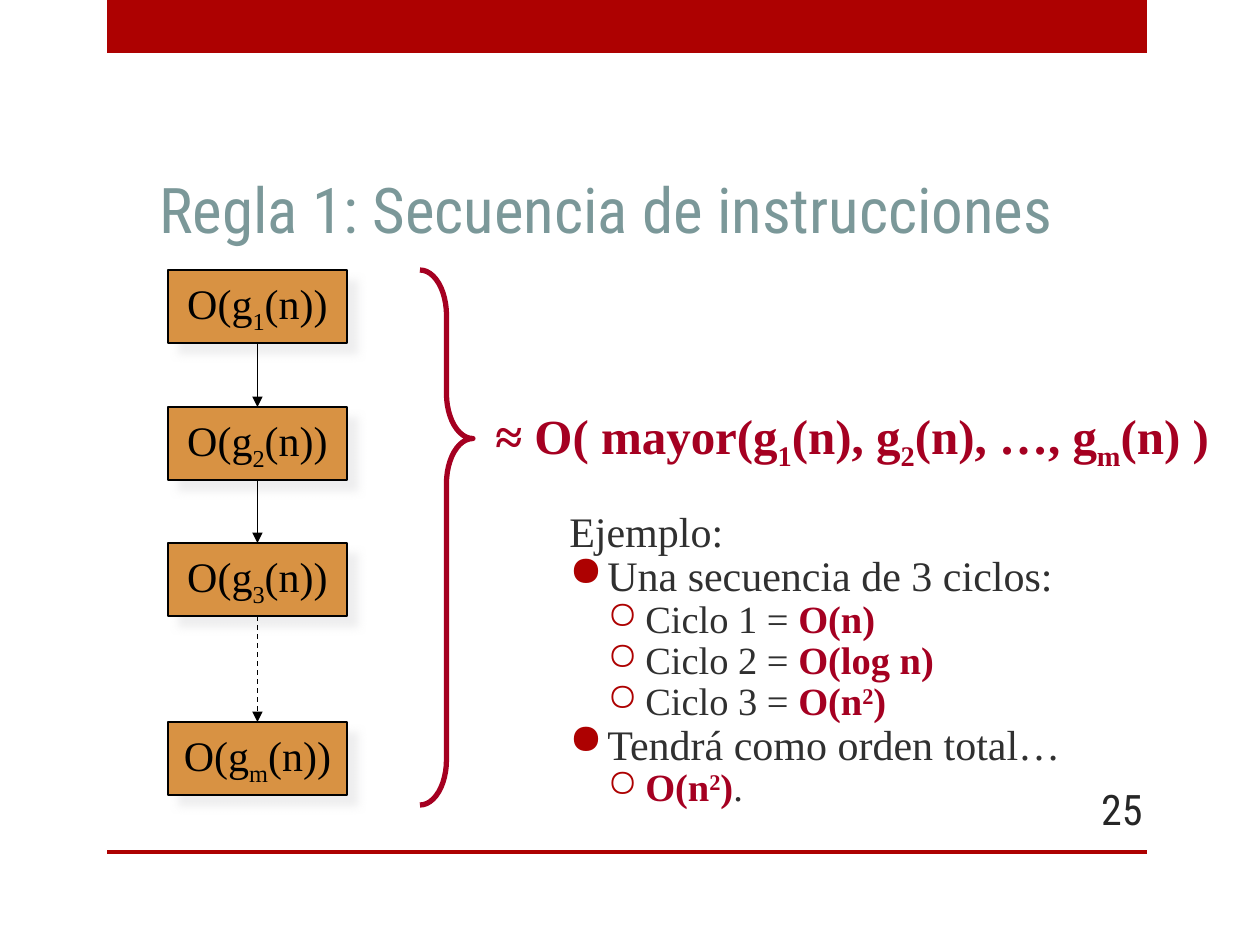
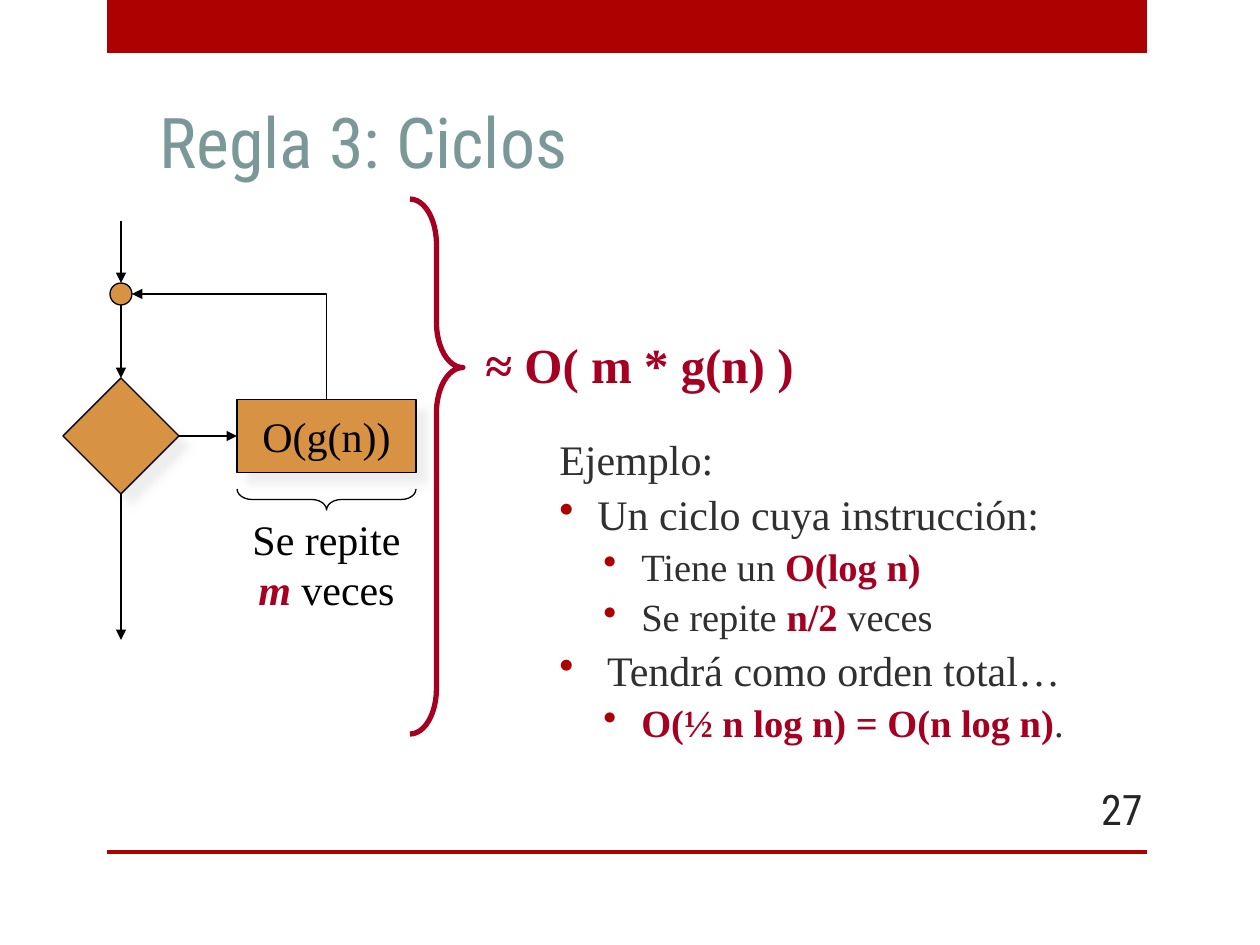
from lxml import etree
from pptx import Presentation
from pptx import util as u
from pptx.dml.color import RGBColor
from pptx.enum import dml, shapes, text
from pptx.oxml import ns

PX = u.Inches(1) / 126
COLORS = {
    "band": "AD0101", "title": "7B9899", "body": "303030", "key": "A50021",
    "number": "262626", "node": "D89243", "ink": "000000", "shadow": "DEDEE0",
}
SERIF, SANS = "Times New Roman", "Roboto Condensed"
NODE_WIDTH, NODE_HEIGHT = 179, 73
BRACE_WIDTH, BRACE_HEIGHT = 53, 535


def px(*lengths):
    return [u.Emu(round(length * PX)) for length in lengths]


def rgb(name):
    return RGBColor.from_string(COLORS[name])


def add_xml(parent, tag, **attributes):
    return etree.SubElement(parent, ns.qn(tag), attributes)


# Text: a run is a string or (string, marks); marks are
# k = key term, i = italic, ^ = superscript, _ = subscript
def write_runs(paragraph, runs, size, color, font=SERIF):
    for item in runs:
        content, marks = (item, "") if isinstance(item, str) else item
        run = paragraph.add_run()
        run.text = content
        run.font.name, run.font.size = font, u.Pt(size)
        run.font.color.rgb = rgb("key" if "k" in marks else color)
        run.font.bold, run.font.italic = "k" in marks, "i" in marks
        for mark, baseline in (("^", "30000"), ("_", "-25000")):
            if mark in marks:
                run.font._element.set("baseline", baseline)


def add_text(slide, box, runs, size, color, font=SERIF, wrap=True,
             anchor=text.MSO_ANCHOR.TOP, align=text.PP_ALIGN.LEFT):
    frame = slide.shapes.add_textbox(*px(*box)).text_frame
    frame.word_wrap, frame.vertical_anchor = wrap, anchor
    frame.paragraphs[0].alignment = align
    write_runs(frame.paragraphs[0], runs, size, color, font)


# Flowchart parts
def add_node(slide, kind, box, runs=(), shadow=True):
    shape = slide.shapes.add_shape(kind, *px(*box))
    shape.shadow.inherit = False
    shape.fill.solid()
    shape.fill.fore_color.rgb = rgb("node")
    shape.line.color.rgb, shape.line.width = rgb("ink"), u.Pt(0.75)
    if shadow:
        effects = shape._element.spPr.find(ns.qn("a:effectLst"))
        outer = add_xml(effects, "a:outerShdw", blurRad=str(u.Pt(5)),
                        dist=str(u.Pt(8.5)), dir="2700000", algn="ctr", rotWithShape="0")
        tint = add_xml(outer, "a:srgbClr", val=COLORS["shadow"])
        add_xml(tint, "a:alpha", val="50000")
    if runs:
        frame = shape.text_frame
        frame.word_wrap, frame.vertical_anchor = False, text.MSO_ANCHOR.MIDDLE
        frame.paragraphs[0].alignment = text.PP_ALIGN.CENTER
        write_runs(frame.paragraphs[0], runs, 24, "ink")


def add_arrow(slide, start, end, dashed=False, kind=shapes.MSO_CONNECTOR.STRAIGHT):
    arrow = slide.shapes.add_connector(kind, *px(*start, *end))
    arrow.line.color.rgb, arrow.line.width = rgb("ink"), u.Pt(0.75)
    if dashed:
        arrow.line.dash_style = dml.MSO_LINE.DASH
    properties = arrow._element.spPr
    add_xml(properties.find(ns.qn("a:ln")), "a:tailEnd", type="triangle")
    add_xml(properties, "a:effectLst")
    return arrow


def add_return_arrow(slide, start, end):
    """Go up from start, then left to end: a one-bend connector turned 90 degrees."""
    middle_x, middle_y = (start[0] + end[0]) / 2, (start[1] + end[1]) / 2
    half_run, half_rise = (start[0] - end[0]) / 2, (start[1] - end[1]) / 2
    arrow = add_arrow(slide, (middle_x + half_rise, middle_y - half_run),
                      (middle_x - half_rise, middle_y + half_run),
                      kind=shapes.MSO_CONNECTOR.ELBOW)
    properties = arrow._element.spPr
    properties.find(ns.qn("a:xfrm")).set("rot", "5400000")
    properties.find(ns.qn("a:prstGeom")).set("prst", "bentConnector2")


def add_brace(slide, box, adjustments, color, width, rotation=0):
    brace = slide.shapes.add_shape(shapes.MSO_SHAPE.RIGHT_BRACE, *px(*box))
    brace.shadow.inherit = False
    brace.fill.background()
    brace.line.color.rgb, brace.line.width = rgb(color), u.Pt(width)
    brace.rotation = rotation
    for index, value in enumerate(adjustments):
        brace.adjustments[index] = value


# Shared frame: bands, title and slide number
def add_frame(presentation, title, title_box, title_size, number):
    slide = presentation.slides.add_slide(presentation.slide_layouts[6])
    for top, height in ((0, 53), (850, 4)):
        band = slide.shapes.add_shape(shapes.MSO_SHAPE.RECTANGLE, *px(107, top, 1040, height))
        band.shadow.inherit = False
        band.fill.solid()
        band.fill.fore_color.rgb = rgb("band")
        band.line.fill.background()
    add_text(slide, title_box, [title], title_size, "title", SANS,
             anchor=text.MSO_ANCHOR.BOTTOM)
    add_text(slide, (1050, 784, 105, 50), [str(number)], 24, "number", SANS,
             anchor=text.MSO_ANCHOR.MIDDLE, align=text.PP_ALIGN.RIGHT)
    return slide


# Example list: each item is (level, runs)
def add_example(slide, box, items, bullets, margins, spacing):
    frame = slide.shapes.add_textbox(*px(*box)).text_frame
    frame.word_wrap, frame.vertical_anchor = True, text.MSO_ANCHOR.MIDDLE
    write_runs(frame.paragraphs[0], ["Ejemplo:"], 24, "body")
    frame.paragraphs[0].line_spacing = spacing
    for level, runs in items:
        paragraph = frame.add_paragraph()
        paragraph.level = level
        margin, hanging = px(margins[level], -38)
        properties = paragraph._p.get_or_add_pPr()
        properties.set("marL", str(margin))
        properties.set("indent", str(hanging))
        add_xml(add_xml(properties, "a:buClr"), "a:srgbClr", val=COLORS["band"])
        add_xml(properties, "a:buChar", char=bullets[level])
        paragraph.line_spacing = spacing
        paragraph.space_before = u.Pt((5.5, 5)[level])
        write_runs(paragraph, runs, (24, 22)[level], "body")


# Brace, resulting order and example, placed from the brace's corner
def add_conclusion(slide, left, top, formula, formula_width, items, **list_style):
    add_brace(slide, (left, top, BRACE_WIDTH, BRACE_HEIGHT), (0.85, 0.315), "key", 3)
    add_text(slide, (left + 63, top + 129, formula_width, 72), formula, 28, "key", wrap=False)
    add_example(slide, (left + 137, top + 231, 620, 325), items, **list_style)


def add_sequence(slide, left, top):
    steps = {"1": 0, "2": 137, "3": 273, "m": 452}
    center = left + NODE_WIDTH / 2
    previous_bottom = None
    for name, offset in steps.items():
        step_top = top + offset
        add_node(slide, shapes.MSO_SHAPE.RECTANGLE,
                 (left, step_top, NODE_WIDTH, NODE_HEIGHT), ["O(g", (name, "_"), "(n))"])
        if previous_bottom:
            add_arrow(slide, (center, previous_bottom), (center, step_top), dashed=name == "m")
        previous_bottom = step_top + NODE_HEIGHT


def add_loop(slide, left, top):
    diamond, circle = 116, 22
    axis = left + diamond / 2
    join_top, test_top = top + 62, top + 157
    join_middle, test_middle = join_top + circle / 2, test_top + diamond / 2
    body_left, body_top = left + 174, test_middle - NODE_HEIGHT / 2
    body_center = body_left + NODE_WIDTH / 2

    # Nodes
    add_node(slide, shapes.MSO_SHAPE.RECTANGLE,
             (body_left, body_top, NODE_WIDTH, NODE_HEIGHT), ["O(g(n))"])
    add_node(slide, shapes.MSO_SHAPE.DIAMOND, (left, test_top, diamond, diamond))
    add_node(slide, shapes.MSO_SHAPE.OVAL,
             (axis - circle / 2, join_top, circle, circle), shadow=False)

    # Flow
    for start, end in (((axis, top), (axis, join_top)),
                       ((axis, join_top + circle), (axis, test_top)),
                       ((axis, test_top + diamond), (axis, top + 419)),
                       ((left + diamond, test_middle), (body_left, test_middle))):
        add_arrow(slide, start, end)
    add_return_arrow(slide, (body_center, body_top), (axis + circle / 2, join_middle))

    # Repetition note
    add_brace(slide, (body_center - 10.5, top + 189, 21, NODE_WIDTH),
              (0.71, 0.5), "ink", 0.75, rotation=90)
    add_text(slide, (body_center - 94.5, top + 286, 189, 113),
             ["Se repite ", ("m", "ki"), " veces"], 24, "ink", align=text.PP_ALIGN.CENTER)


def build_sequence_slide(presentation):
    slide = add_frame(presentation, "Regla 1: Secuencia de instrucciones",
                      (147, 95, 968, 157), 36, 25)
    add_sequence(slide, 168, 270)
    formula = [("≈ O( mayor(g", "k"), ("1", "k_"), ("(n), g", "k"), ("2", "k_"),
               ("(n), …, g", "k"), ("m", "k_"), ("(n) )", "k")]
    square = [("O(n", "k"), ("2", "k^"), (")", "k")]
    items = [(0, ["Una secuencia de 3 ciclos:"]),
             (1, ["Ciclo 1 = ", ("O(n)", "k")]),
             (1, ["Ciclo 2 = ", ("O(log n)", "k")]),
             (1, ["Ciclo 3 = ", *square]),
             (0, ["Tendrá como orden total…"]),
             (1, [*square, "."])]
    add_conclusion(slide, 420, 270, formula, 750, items,
                   bullets="●○", margins=(38, 76), spacing=0.7)


def build_loop_slide(presentation):
    slide = add_frame(presentation, "Regla 3: Ciclos", (147, 73, 968, 116), 40, 27)
    add_loop(slide, 63, 221)
    items = [(0, ["Un ciclo cuya instrucción:"]),
             (1, ["Tiene un ", ("O(log n)", "k")]),
             (1, ["Se repite ", ("n/2", "k"), " veces"]),
             (0, [" Tendrá como orden total…"]),
             (1, [("O(½ n log n) = O(n log n)", "k"), "."])]
    add_conclusion(slide, 410, 199, [("≈ O( m * g(n) )", "k")], 334, items,
                   bullets="••", margins=(38, 82), spacing=0.9)


def main():
    presentation = Presentation()
    presentation.slide_width, presentation.slide_height = px(1260, 945)
    build_sequence_slide(presentation)
    build_loop_slide(presentation)
    presentation.save("out.pptx")


if __name__ == "__main__":
    main()
